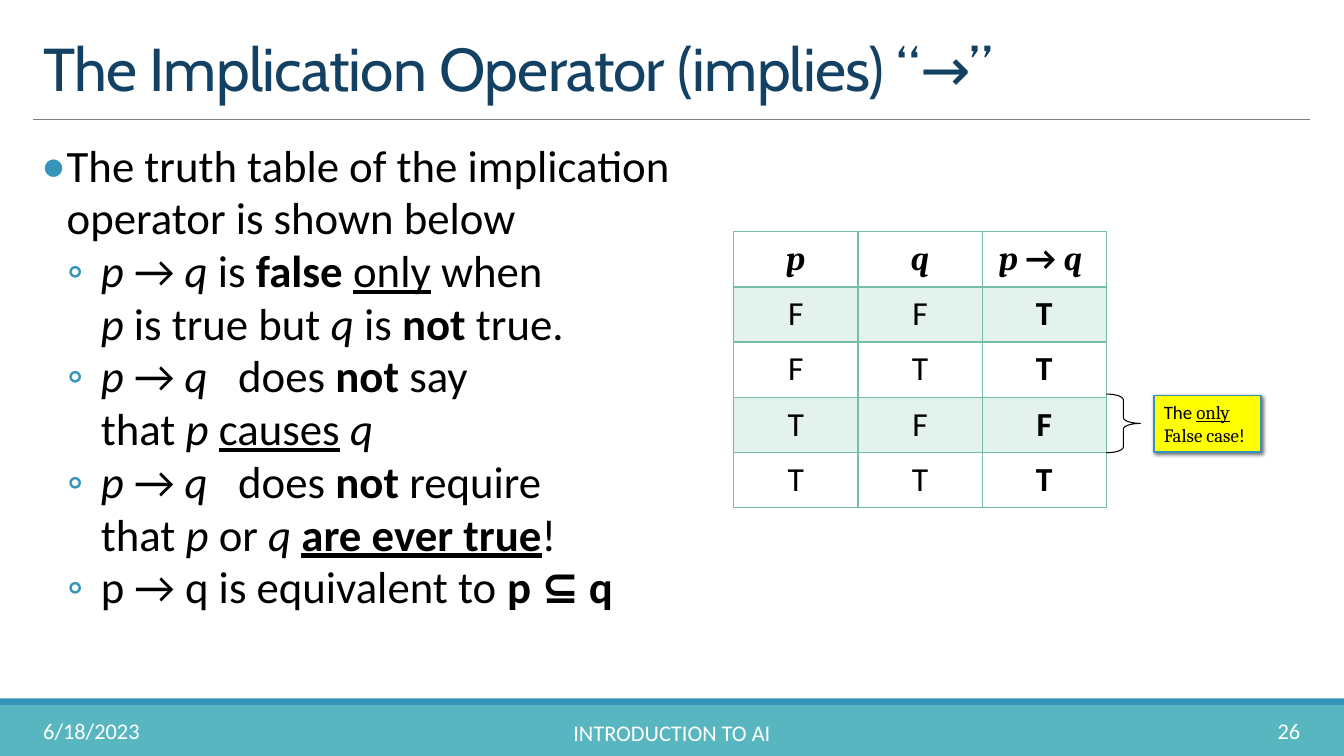
from lxml import etree
from pptx import Presentation
from pptx.dml.color import RGBColor
from pptx.enum.shapes import MSO_CONNECTOR, MSO_SHAPE
from pptx.enum.text import MSO_ANCHOR, MSO_AUTO_SIZE, PP_ALIGN
from pptx.oxml.ns import qn
from pptx.util import Cm, Pt

LEFT, CENTER, RIGHT = PP_ALIGN.LEFT, PP_ALIGN.CENTER, PP_ALIGN.RIGHT
TOP, MIDDLE, BOTTOM = MSO_ANCHOR.TOP, MSO_ANCHOR.MIDDLE, MSO_ANCHOR.BOTTOM
NO_FIT = MSO_AUTO_SIZE.NONE

BLUE, TEAL, GREEN, BAND = "3494BA", "58B6C0", "75BDA7", "E3F2ED"
NAVY, GRAY, YELLOW, BLACK, WHITE = "134163", "808080", "FFFF00", "000000", "FFFFFF"
SANS, SERIF, HEADING = "Calibri", "Cambria", "Cabin"

# Each span is (text, style): b bold, i italic, u underline, s serif
TITLE = "The Implication Operator (implies) “→”"
BODY = [
    (0, [("The truth table of the implication operator is shown below", "")]),
    (1, [("p ", "i"), ("→", ""), (" q ", "i"), ("is ", ""), ("false ", "b"),
         ("only", "u"), (" when\n", ""), ("p", "i"), (" is true but ", ""),
         ("q", "i"), (" is ", ""), ("not", "b"), (" true.", "")]),
    (1, [("p ", "i"), ("→", ""), (" q   ", "i"), ("does ", ""), ("not ", "b"),
         ("say\nthat ", ""), ("p ", "i"), ("causes", "u"), (" ", ""), ("q", "i")]),
    (1, [("p ", "i"), ("→", ""), (" q   ", "i"), ("does ", ""), ("not ", "b"),
         ("require\nthat ", ""), ("p", "i"), (" or ", ""), ("q ", "i"),
         ("are ever true", "bu"), ("!", "")]),
    (1, [("p → q is equivalent to ", ""), ("p ⊆ q", "b")]),
]
# Per level: bullet, its size in percent, left margin, first-line indent
BULLETS = [("•", 110, Cm(0.84), Cm(-0.64)), ("◦", 100, Cm(1.7), Cm(-0.84))]
TABLE_HEAD = [[("p", "bis")], [("q", "bis")],
              [("p ", "bis"), ("→ ", "b"), ("q ", "bis")]]
TRUTH_ROWS = ["FFT", "FTT", "TFF", "TTT"]
NOTE = [("The ", ""), ("only\n", "us"), ("False case", "s"), ("!", "")]
FOOTER = [
    ("6/18/2023", 0.84, 17.91, 6.86, LEFT),
    ("INTRODUCTION TO AI", 10.24, 17.94, 13.39, CENTER),
    ("26", 29.39, 17.91, 3.63, RIGHT),
]
SLIDE_W, SLIDE_H = Cm(33.87), Cm(19.05)
TABLE_X, TABLE_Y, COL_W, ROW_H = Cm(18.49), Cm(5.84), Cm(3.13), Cm(1.39)


def rgb(color):
    return RGBColor.from_string(color)


def apply(target, values):
    for name, value in values.items():
        setattr(target, name, value)


def place(shape, left, top, width, height):
    apply(shape, dict(left=Cm(left), top=Cm(top), width=Cm(width), height=Cm(height)))


def child(parent, tag, **attributes):
    """Append a DrawingML element and return it."""
    node = etree.SubElement(parent, qn(tag))
    for name, value in attributes.items():
        node.set(name, str(value))
    return node


def write(para, spans, size, color=BLACK, font=SANS):
    for text, style in spans:
        for number, piece in enumerate(text.split("\n")):
            if number:
                para.add_line_break()
            if not piece:
                continue
            span = para.add_run()
            span.text = piece
            apply(span.font, dict(name=SERIF if "s" in style else font, size=Pt(size),
                                  bold="b" in style, italic="i" in style,
                                  underline="u" in style))
            span.font.color.rgb = rgb(color)


def add_shape(shapes, kind, box, fill=None, line=None, weight=1):
    shape = shapes.add_shape(kind, *box)
    shape.shadow.inherit = False
    if fill:
        shape.fill.solid()
        shape.fill.fore_color.rgb = rgb(fill)
    else:
        shape.fill.background()
    if line:
        shape.line.color.rgb = rgb(line)
        shape.line.width = Pt(weight)
    else:
        shape.line.fill.background()
    return shape


def add_title(page):
    title = page.shapes.title
    place(title, 0.84, 0.79, 32.18, 1.96)
    apply(title.text_frame, dict(vertical_anchor=BOTTOM, auto_size=NO_FIT, word_wrap=True))
    para = title.text_frame.paragraphs[0]
    apply(para, dict(alignment=LEFT, line_spacing=0.85))
    write(para, [(TITLE, "")], 43.2, NAVY, HEADING)
    for span in para.runs:
        span.font._element.set("spc", "-50")


def add_body(page):
    body = page.placeholders[1]
    place(body, 0.84, 3.4, 18.44, 13.94)
    frame = body.text_frame
    apply(frame, dict(margin_left=0, margin_right=0, vertical_anchor=TOP,
                      auto_size=NO_FIT, word_wrap=True))
    for number, (level, spans) in enumerate(BODY):
        para = frame.add_paragraph() if number else frame.paragraphs[0]
        apply(para, dict(level=level, space_before=Pt(0), line_spacing=0.98))
        char, percent, margin, indent = BULLETS[level]
        props = para._p.get_or_add_pPr()
        props.set("marL", str(margin))
        props.set("indent", str(indent))
        child(child(props, "a:buClr"), "a:srgbClr", val=BLUE)
        child(props, "a:buSzPct", val=percent * 1000)
        child(props, "a:buFont", typeface=SANS)
        child(props, "a:buChar", char=char)
        write(para, spans, 32)


def add_borders(cell, row):
    weights = {"L": 1, "R": 1, "T": 2 if row == 1 else 1, "B": 2 if row == 0 else 1}
    for side, weight in weights.items():
        line = child(cell._tc.get_or_add_tcPr(), "a:ln" + side, w=Pt(weight))
        child(child(line, "a:solidFill"), "a:srgbClr", val=GREEN)


def add_truth_table(page):
    rows = TABLE_HEAD, *[[[(value, "b" if col == 2 else "")]
                          for col, value in enumerate(values)] for values in TRUTH_ROWS]
    table = page.shapes.add_table(len(rows), 3, TABLE_X, TABLE_Y,
                                  COL_W * 3, ROW_H * len(rows)).table
    apply(table, dict(first_row=False, horz_banding=False))
    for column in table.columns:
        column.width = COL_W
    for row, cells in enumerate(rows):
        table.rows[row].height = ROW_H
        for col, spans in enumerate(cells):
            cell = table.cell(row, col)
            apply(cell, dict(margin_left=0, margin_right=0, margin_top=0,
                             margin_bottom=0, vertical_anchor=MIDDLE))
            add_borders(cell, row)
            if row % 2:
                cell.fill.solid()
                cell.fill.fore_color.rgb = rgb(BAND)
            else:
                cell.fill.background()
            para = cell.text_frame.paragraphs[0]
            para.alignment = CENTER
            write(para, spans, 24)


def add_false_case_note(page):
    shapes = page.shapes.add_group_shape().shapes
    brace = add_shape(shapes, MSO_SHAPE.RIGHT_BRACE,
                      (TABLE_X + COL_W * 3, Cm(9.93), Cm(0.86), Cm(1.48)),
                      line=BLACK, weight=0.75)
    brace.adjustments[0] = 0.167
    note = add_shape(shapes, MSO_SHAPE.RECTANGLE,
                     (Cm(29.08), Cm(9.97), Cm(2.7), Cm(1.42)), YELLOW, BLUE)
    effects = note._element.spPr.find(qn("a:effectLst"))
    shadow = child(effects, "a:outerShdw", blurRad=Pt(3), dist=Pt(2), dir=45 * 60000)
    child(child(shadow, "a:srgbClr", val=BLACK), "a:alpha", val=60000)
    apply(note.text_frame, dict(vertical_anchor=TOP, word_wrap=True,
                                auto_size=MSO_AUTO_SIZE.SHAPE_TO_FIT_TEXT))
    para = note.text_frame.paragraphs[0]
    para.alignment = LEFT
    write(para, NOTE, 13.5)


def add_frame(page):
    """Draw the rule under the title and the footer bars with their text."""
    for top, height, color in [(17.78, 1.27, TEAL), (17.6, 0.18, BLUE)]:
        add_shape(page.shapes, MSO_SHAPE.RECTANGLE,
                  (0, Cm(top), SLIDE_W, Cm(height)), color)
    rule = page.shapes.add_connector(MSO_CONNECTOR.STRAIGHT,
                                     Cm(0.84), Cm(3.02), Cm(33.02), Cm(3.02))
    rule.line.color.rgb = rgb(GRAY)
    rule.line.width = Pt(0.5)
    child(rule._element.spPr, "a:effectLst")
    for text, left, top, width, alignment in FOOTER:
        box = page.shapes.add_textbox(Cm(left), Cm(top), Cm(width), Cm(1.02))
        apply(box.text_frame, dict(word_wrap=True, vertical_anchor=MIDDLE))
        para = box.text_frame.paragraphs[0]
        para.alignment = alignment
        write(para, [(text, "")], 16, WHITE)


def main():
    deck = Presentation()
    apply(deck, dict(slide_width=SLIDE_W, slide_height=SLIDE_H))
    page = deck.slides.add_slide(deck.slide_layouts[1])
    for add_part in (add_frame, add_title, add_body, add_truth_table, add_false_case_note):
        add_part(page)
    deck.save("out.pptx")


if __name__ == "__main__":
    main()
